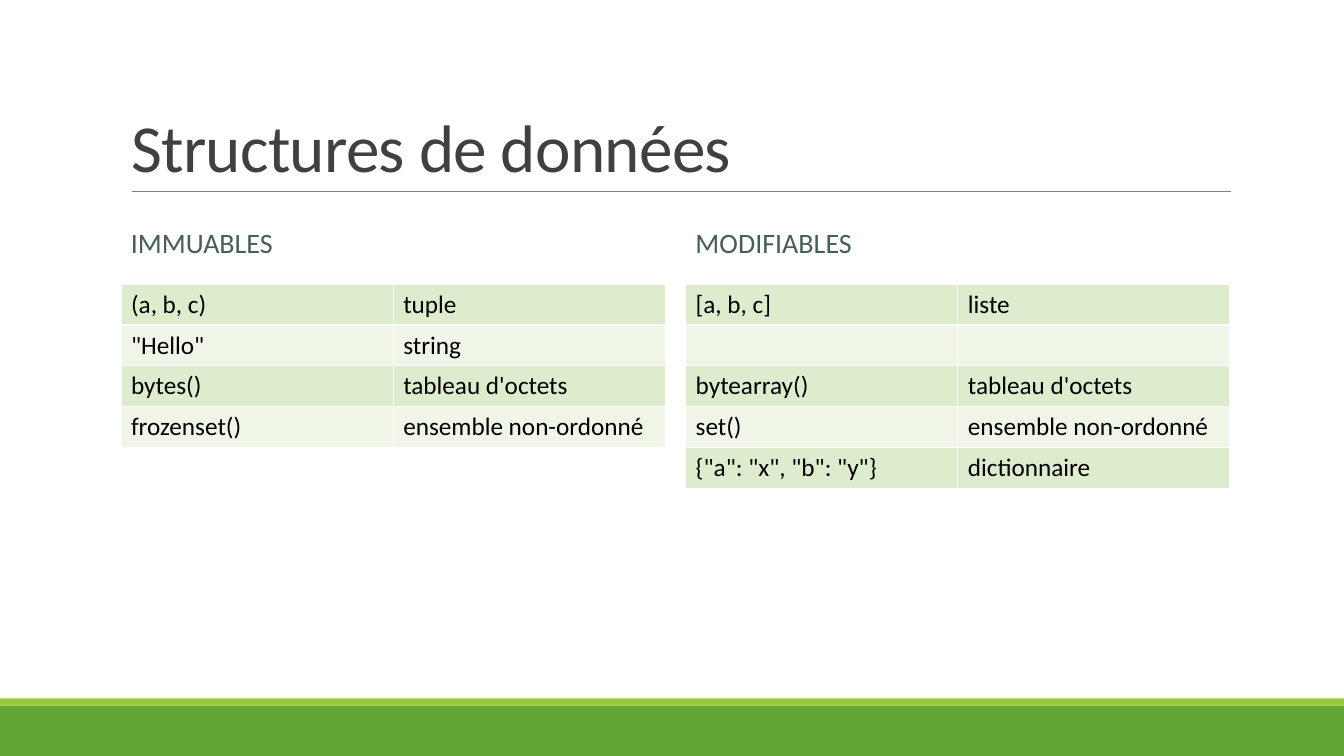
from lxml import etree
from pptx import Presentation
from pptx.dml.color import RGBColor
from pptx.enum.shapes import MSO_CONNECTOR, MSO_SHAPE
from pptx.enum.text import MSO_ANCHOR, PP_ALIGN
from pptx.oxml.ns import qn
from pptx.util import Inches, Pt

COLORS = {
    "green": "63A537", "lime": "99CB38", "rule": "808080",
    "title": "404040", "heading": "455F51", "text": "000000",
    "band_dark": "DEECCE", "band_light": "EFF6E8", "border": "FFFFFF",
}
FONT = "Calibri"
COL_W, ROW_H = 2.7, 0.405
HEADING_TOP, TABLE_TOP = 2.02, 2.82

GROUPS = [
    (1.2, "IMMUABLES", [
        ("(a, b, c)", "tuple"),
        ('"Hello"', "string"),
        ("bytes()", "tableau d'octets"),
        ("frozenset()", "ensemble non-ordonné"),
    ]),
    (6.8, "MODIFIABLES", [
        ("[a, b, c]", "liste"),
        ("", ""),
        ("bytearray()", "tableau d'octets"),
        ("set()", "ensemble non-ordonné"),
        ('{"a": "x", "b": "y"}', "dictionnaire"),
    ]),
]


def rgb(name):
    return RGBColor.from_string(COLORS[name])


def write(tf, text, size, color, anchor=None, line=None, before=None,
          after=None, spacing=None):
    """Fill a text frame with one formatted paragraph."""
    if anchor is not None:
        tf.vertical_anchor = anchor
    tf.word_wrap = True
    p = tf.paragraphs[0]
    p.alignment = PP_ALIGN.LEFT
    p.line_spacing, p.space_before, p.space_after = line, before, after
    p.font.size = Pt(size)
    if not text:
        return
    r = p.add_run()
    r.text = text
    r.font.name, r.font.size = FONT, Pt(size)
    r.font.color.rgb = rgb(color)
    if spacing is not None:
        r._r.get_or_add_rPr().set("spc", str(round(spacing * 100)))


def add_band(s, top, height, color):
    sp = s.shapes.add_shape(MSO_SHAPE.RECTANGLE, 0, Inches(top),
                            Inches(13.33), Inches(height))
    sp.shadow.inherit = False
    sp.fill.solid()
    sp.fill.fore_color.rgb = rgb(color)
    sp.line.fill.background()


def add_rule(s, left, right, top):
    line = s.shapes.add_connector(MSO_CONNECTOR.STRAIGHT, Inches(left),
                                  Inches(top), Inches(right), Inches(top))
    line.line.color.rgb = rgb("rule")
    line.line.width = Pt(0.5)
    etree.SubElement(line._element.spPr, qn("a:effectLst"))


def set_title(s, text):
    sp = s.shapes.title
    sp.left, sp.top = Inches(1.2), Inches(0.31)
    sp.width, sp.height = Inches(11), Inches(1.59)
    write(sp.text_frame, text, 48, "title", anchor=MSO_ANCHOR.BOTTOM,
          line=0.85, spacing=-0.5)


def add_heading(s, left, text):
    sp = s.shapes.add_textbox(Inches(left), Inches(HEADING_TOP),
                              Inches(2 * COL_W), Inches(0.81))
    write(sp.text_frame, text, 20, "heading", anchor=MSO_ANCHOR.MIDDLE,
          line=0.9, before=Pt(12), after=Pt(2))


def set_borders(cell):
    tcPr = cell._tc.get_or_add_tcPr()
    for i, side in enumerate(("lnL", "lnR", "lnT", "lnB")):
        ln = etree.Element(qn(f"a:{side}"), w=str(Pt(1)))
        fill = etree.SubElement(ln, qn("a:solidFill"))
        etree.SubElement(fill, qn("a:srgbClr"), val=COLORS["border"])
        tcPr.insert(i, ln)


def add_type_table(s, left, rows):
    table = s.shapes.add_table(len(rows), 2, Inches(left), Inches(TABLE_TOP),
                               Inches(2 * COL_W),
                               Inches(ROW_H * len(rows))).table
    table.first_row = table.horz_banding = False
    for col in table.columns:
        col.width = Inches(COL_W)
    for i, texts in enumerate(rows):
        table.rows[i].height = Inches(ROW_H)
        for j, text in enumerate(texts):
            cell = table.cell(i, j)
            cell.fill.solid()
            cell.fill.fore_color.rgb = rgb("band_light" if i % 2 else "band_dark")
            set_borders(cell)
            write(cell.text_frame, text, 18, "text")


def main():
    prs = Presentation()
    prs.slide_width, prs.slide_height = Inches(13.33), Inches(7.5)
    s = prs.slides.add_slide(prs.slide_layouts[5])
    add_band(s, 7, 0.5, "green")
    add_band(s, 6.93, 0.07, "lime")
    add_rule(s, 1.31, 12.21, 1.9)
    set_title(s, "Structures de données")
    for left, heading, rows in GROUPS:
        add_heading(s, left, heading)
        add_type_table(s, left, rows)
    prs.save("out.pptx")


if __name__ == "__main__":
    main()
